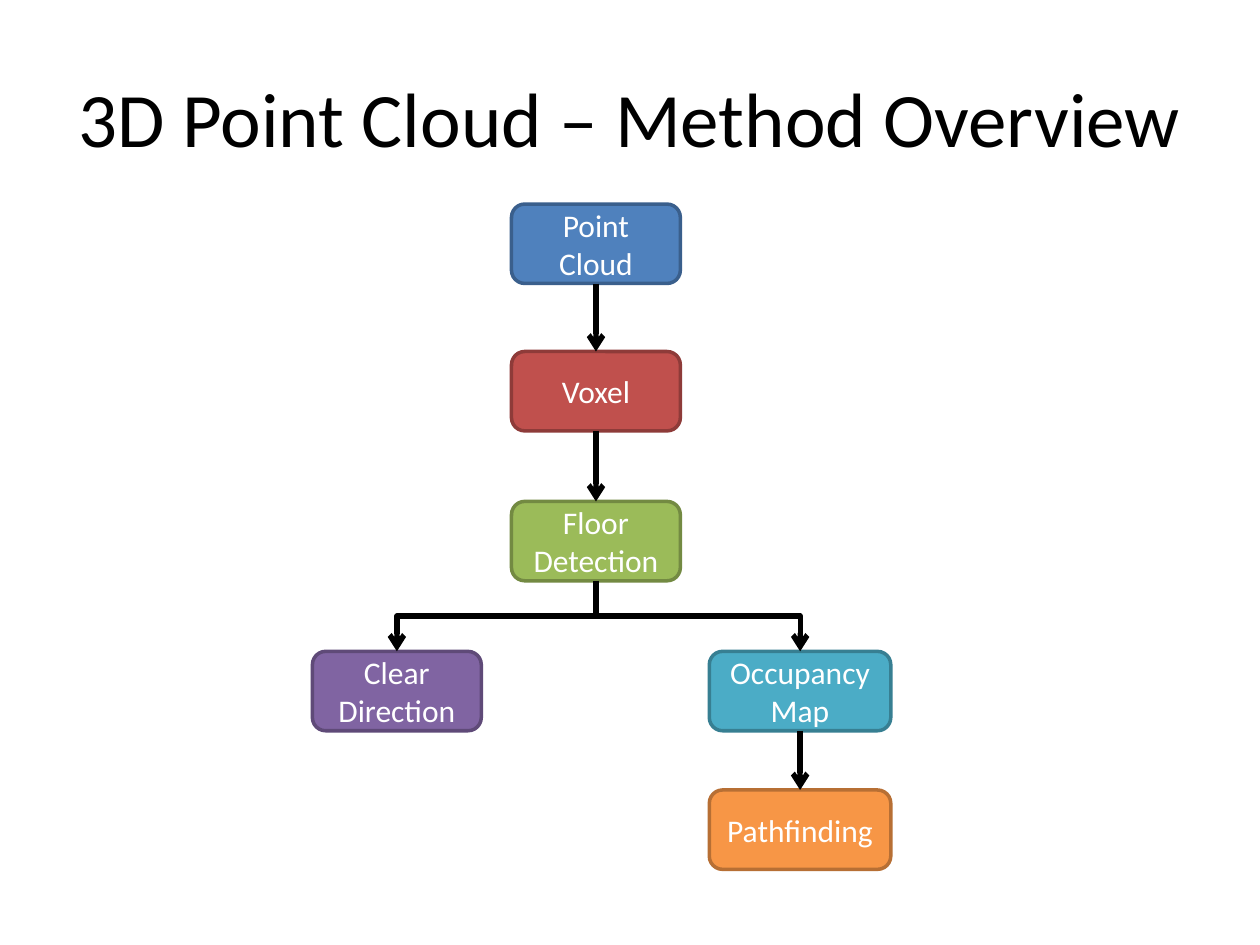
import dataclasses
import lxml.etree
import pptx
import pptx.dml.color
import pptx.enum.shapes
import pptx.enum.text
import pptx.oxml.ns
import pptx.util

Inches = pptx.util.Inches
Pt = pptx.util.Pt
qn = pptx.oxml.ns.qn
Kind = pptx.enum.shapes.MSO_CONNECTOR
TOP, BOTTOM = 0, 2


@dataclasses.dataclass(frozen=True)
class Theme:
    font: str = "Calibri"
    title: int = 44
    label: int = 18
    edge: int = 2
    arrow: int = 3
    black: str = "000000"
    white: str = "FFFFFF"
    blue: tuple = ("4F81BD", "3A5F8C")
    red: tuple = ("C0504D", "8E3B39")
    green: tuple = ("9BBB59", "738A42")
    teal: tuple = ("4BACC6", "377F92")
    purple: tuple = ("8064A2", "5F4A78")
    orange: tuple = ("F79646", "B76F34")


THEME = Theme()
HEIGHT = 0.63
SLIM, WIDE = 1.34, 1.44
LEFT, MIDDLE, RIGHT = 2.48, 4.06, 5.63


def color(code):
    return pptx.dml.color.RGBColor.from_string(code)


def write(shape, text, size, code):
    frame = shape.text_frame
    frame.word_wrap = True
    frame.vertical_anchor = pptx.enum.text.MSO_ANCHOR.MIDDLE
    frame.text = text
    para = frame.paragraphs[0]
    para.alignment = pptx.enum.text.PP_ALIGN.CENTER
    font = para.runs[0].font
    font.name = THEME.font
    font.size = Pt(size)
    font.color.rgb = color(code)


def add_title(slide, text):
    box = slide.shapes.add_textbox(Inches(0.5), Inches(0.3), Inches(9), Inches(1.25))
    write(box, text, THEME.title, THEME.black)


def add_step(slide, text, left, top, width, paint):
    step = slide.shapes.add_shape(
        pptx.enum.shapes.MSO_SHAPE.ROUNDED_RECTANGLE,
        Inches(left), Inches(top), Inches(width), Inches(HEIGHT))
    fill, edge = paint
    step.shadow.inherit = False
    step.fill.solid()
    step.fill.fore_color.rgb = color(fill)
    step.line.color.rgb = color(edge)
    step.line.width = Pt(THEME.edge)
    write(step, text, THEME.label, THEME.white)
    return step


def add_link(slide, start, end, kind=Kind.STRAIGHT):
    link = slide.shapes.add_connector(kind, 0, 0, 0, 0)
    link.begin_connect(start, BOTTOM)
    link.end_connect(end, TOP)
    link.line.color.rgb = color(THEME.black)
    link.line.width = Pt(THEME.arrow)
    props = link._element.spPr
    line = props.find(qn("a:ln"))
    lxml.etree.SubElement(line, qn("a:tailEnd")).set("type", "arrow")
    lxml.etree.SubElement(props, qn("a:effectLst"))
    return link


def add_branch(slide, start, end):
    link = add_link(slide, start, end, Kind.ELBOW)
    head = start.left + start.width // 2
    tail = end.left + end.width // 2
    drop = end.top - start.top - start.height
    span = abs(tail - head)
    link.left = (head + tail - drop) // 2
    link.top = start.top + start.height + (drop - span) // 2
    link.width, link.height = drop, span
    right = tail > head
    turn = link._element.spPr.find(qn("a:xfrm"))
    turn.set("rot", str((270 if right else 90) * 60000))
    turn.set("flipH", "1" if right else "0")
    turn.set("flipV", "0")


def main():
    deck = pptx.Presentation()
    deck.slide_width, deck.slide_height = Inches(10), Inches(7.5)
    slide = deck.slides.add_slide(deck.slide_layouts[6])
    add_title(slide, "3D Point Cloud – Method Overview")

    cloud = add_step(slide, "Point Cloud", MIDDLE, 1.62, SLIM, THEME.blue)
    voxel = add_step(slide, "Voxel", MIDDLE, 2.79, SLIM, THEME.red)
    floor = add_step(slide, "Floor Detection", MIDDLE, 3.98, SLIM, THEME.green)
    grid = add_step(slide, "Occupancy Map", RIGHT, 5.17, WIDE, THEME.teal)
    clear = add_step(slide, "Clear Direction", LEFT, 5.17, SLIM, THEME.purple)
    route = add_step(slide, "Pathfinding", RIGHT, 6.27, WIDE, THEME.orange)

    add_link(slide, cloud, voxel)
    add_link(slide, voxel, floor)
    for end in (clear, grid):
        add_branch(slide, floor, end)
    add_link(slide, grid, route)
    deck.save("out.pptx")


if __name__ == "__main__":
    main()
